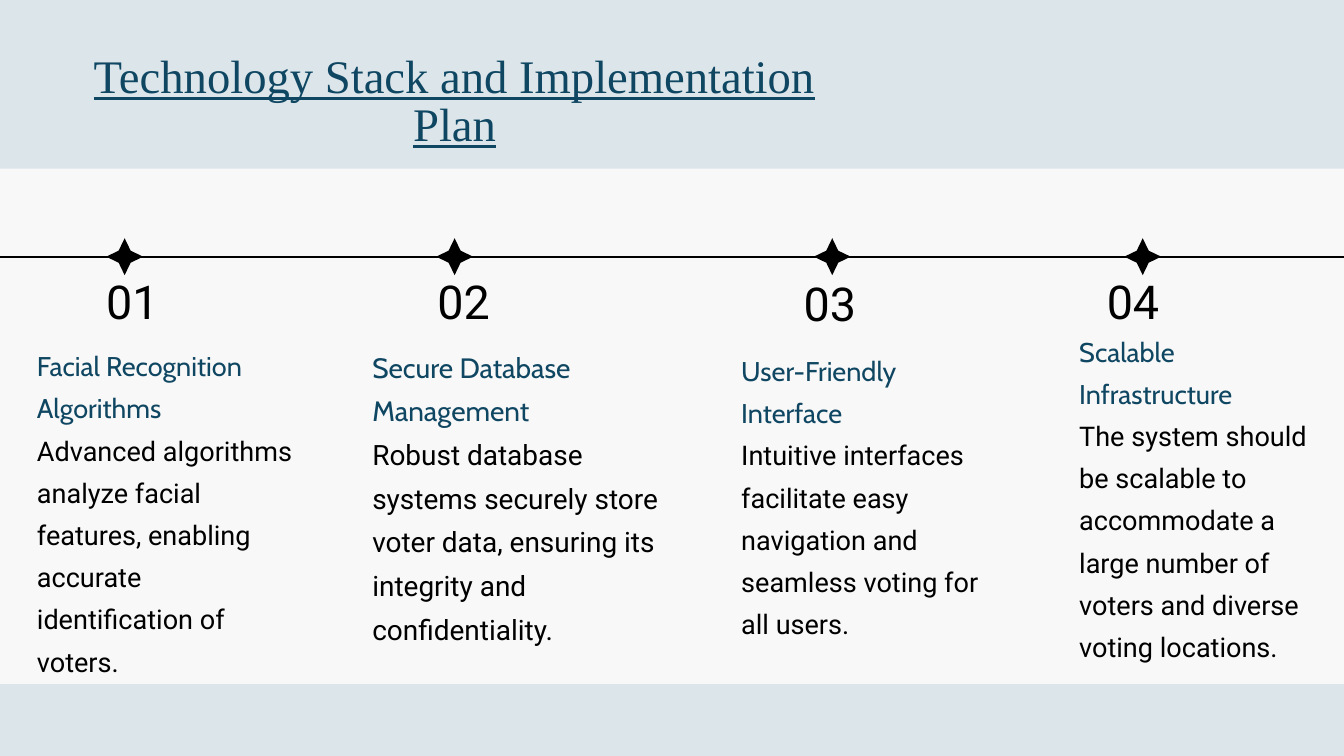
from lxml import etree
from pptx import Presentation
from pptx.dml.color import RGBColor
from pptx.enum.shapes import MSO_CONNECTOR, MSO_SHAPE
from pptx.enum.text import MSO_ANCHOR, MSO_AUTO_SIZE, PP_ALIGN
from pptx.oxml.ns import qn
from pptx.util import Inches, Pt

STRAIGHT = MSO_CONNECTOR.STRAIGHT
BAND, STAR = MSO_SHAPE.RECTANGLE, MSO_SHAPE.STAR_4_POINT
TOP, GROW = MSO_ANCHOR.TOP, MSO_AUTO_SIZE.SHAPE_TO_FIT_TEXT
LEFT, CENTER = PP_ALIGN.LEFT, PP_ALIGN.CENTER

# Content
TITLE = "Technology Stack and Implementation Plan"
# heading, description, star left, number (left, top), text box, text size
STEPS = [
    ("Facial Recognition Algorithms",
     "Advanced algorithms analyze facial features, enabling accurate identification of voters.",
     1.58, (1.58, 4.18), (0.55, 5.06, 3.83, 5.59), 29),
    ("Secure Database Management",
     "Robust database systems securely store voter data, ensuring its integrity and confidentiality.",
     6.49, (6.51, 4.18), (5.54, 5.06, 4.46, 5.13), 30),
    ("User-Friendly Interface",
     "Intuitive interfaces facilitate easy navigation and seamless voting for all users.",
     12.11, (11.96, 4.21), (11.03, 5.13, 3.75, 4.97), 29),
    ("Scalable Infrastructure",
     "The system should be scalable to accommodate a large number of voters and diverse voting locations.",
     16.73, (16.47, 4.18), (16.06, 4.84, 3.49, 5.59), 29),
]
BANDS = [(0, 0, 20, 2.51), (0, 10.18, 20, 4.48)]

# Style
BLACK, NAVY, PALE_BLUE, OFF_WHITE = "000000", "0F4662", "DBE5EA", "F8F8F8"
AXIS_Y = 3.82
STAR_SIZE = 0.55
LINE_SPACING = {29: 45.2, 30: 46.8, 50: 51.5}


def color(value):
    return RGBColor.from_string(value)


def inches(values):
    return [Inches(value) for value in values]


def fill_text(box, lines, size, align=LEFT):
    """Write (text, font name, colour) lines into a box without margins."""
    frame = box.text_frame
    frame.word_wrap = True
    frame.auto_size = GROW
    frame.vertical_anchor = TOP
    frame.margin_left = frame.margin_right = 0
    frame.margin_top = frame.margin_bottom = 0
    for index, (text, name, value) in enumerate(lines):
        para = frame.paragraphs[0] if index == 0 else frame.add_paragraph()
        para.text = text
        para.alignment = align
        para.line_spacing = Pt(LINE_SPACING[size])
        para.space_before = para.space_after = Pt(0)
        para.font.name = name
        para.font.size = Pt(size)
        para.font.color.rgb = color(value)


def add_filled(page, kind, place, value):
    shape = page.shapes.add_shape(kind, *inches(place))
    shape.shadow.inherit = False
    shape.fill.solid()
    shape.fill.fore_color.rgb = color(value)
    shape.line.fill.background()
    return shape


deck = Presentation()
deck.slide_width, deck.slide_height = inches((20, 11.25))
page = deck.slides.add_slide(deck.slide_layouts[5])
page.background.fill.solid()
page.background.fill.fore_color.rgb = color(OFF_WHITE)

# Timeline axis, running past both slide edges
axis = page.shapes.add_connector(STRAIGHT, *inches((-0.97, AXIS_Y, 20.97, AXIS_Y)))
axis.line.color.rgb = color(BLACK)
axis.line.width = Pt(2.25)
etree.SubElement(axis.element.spPr, qn("a:effectLst"))

# Steps: star, number, heading and description
for number, (heading, description, star_left, spot, place, size) in enumerate(STEPS, 1):
    star_place = (star_left, AXIS_Y - STAR_SIZE / 2, STAR_SIZE, STAR_SIZE)
    star = add_filled(page, STAR, star_place, BLACK)
    star.adjustments[0] = 0.23
    number_box = page.shapes.add_textbox(*inches((*spot, 2.4, 0.74)))
    fill_text(number_box, [(f"{number:02}", "Roboto", BLACK)], 50)
    step_box = page.shapes.add_textbox(*inches(place))
    fill_text(step_box, [(heading, "Cabin", NAVY), (description, "Roboto", BLACK)], size)

# Top and bottom bands
for place in BANDS:
    add_filled(page, BAND, place, PALE_BLUE)

# Title, brought in front of the top band
title = page.shapes.title
title.left, title.top, title.width, title.height = inches((1.28, 0.81, 10.97, 0.73))
fill_text(title, [(TITLE, "Times New Roman", NAVY)], 50, CENTER)
title.text_frame.paragraphs[0].font.underline = True
title.element.getparent().append(title.element)

deck.save("out.pptx")
